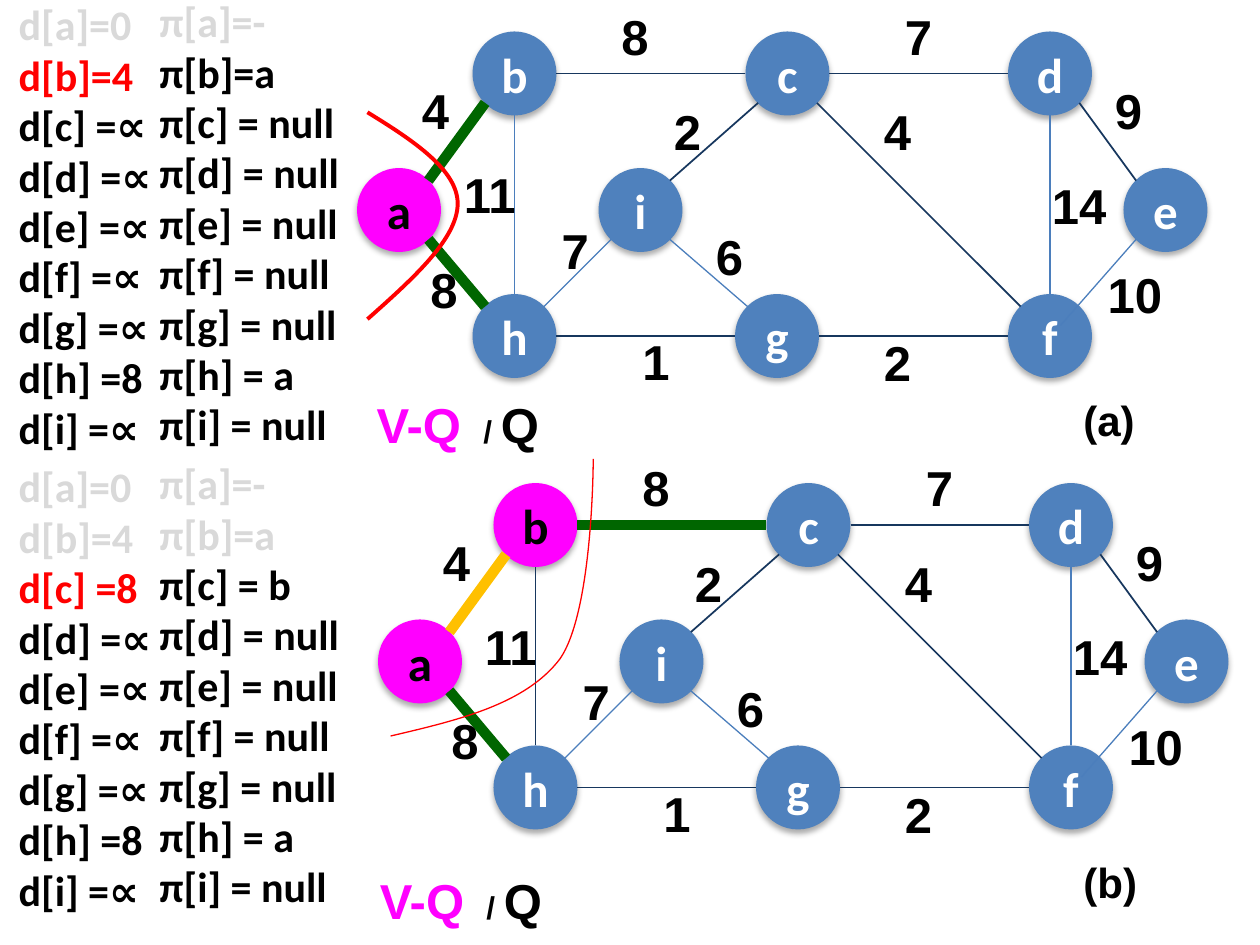
from dataclasses import dataclass

from lxml import etree
from pptx import Presentation
from pptx import util as u
from pptx.dml.color import RGBColor
from pptx.enum import shapes, text
from pptx.oxml.ns import qn


@dataclass(frozen=True)
class Theme:
    blue: str = "4F81BD"
    pink: str = "FF00FF"
    navy: str = "17375E"
    sky: str = "4B7EBC"
    green: str = "006600"
    gold: str = "FFC000"
    red: str = "FF0000"
    grey: str = "D9D9D9"
    black: str = "000000"
    white: str = "FFFFFF"
    body_font: str = "Calibri"
    label_font: str = "Arial"
    large: int = 28
    medium: int = 24
    small: int = 18


THEME = Theme()
PX = u.Inches(1) // 120
NODE = 80

# Where an edge meets a node, as fractions of the node's size from its centre
DIAGONAL = 0.354
SITES = {
    "n": (0, -0.5), "s": (0, 0.5), "w": (-0.5, 0), "e": (0.5, 0),
    "nw": (-DIAGONAL, -DIAGONAL), "ne": (DIAGONAL, -DIAGONAL),
    "sw": (-DIAGONAL, DIAGONAL), "se": (DIAGONAL, DIAGONAL),
    "inner": (0.125, -0.125),
}
CENTRES = {
    "b": (490, 70), "c": (750, 70), "d": (1000, 70),
    "a": (380, 200), "i": (610, 200), "e": (1110, 200),
    "h": (490, 320), "g": (740, 320), "f": (1000, 320),
}
THICK, THIN, HAIR = 6, 1, 0.75
NAVY, SKY = (THEME.navy, THIN), (THEME.sky, HAIR)
GREEN, GOLD = (THEME.green, THICK), (THEME.gold, THICK)
EDGES = [
    ("bc", "e", "w", NAVY), ("cd", "e", "w", NAVY),
    ("gf", "e", "w", NAVY), ("hg", "e", "w", NAVY),
    ("df", "s", "n", SKY), ("bh", "s", "n", SKY),
    ("ba", "sw", "ne", GREEN), ("de", "se", "nw", NAVY),
    ("ah", "se", "nw", GREEN), ("ef", "sw", "inner", SKY),
    ("ci", "sw", "ne", NAVY), ("ih", "sw", "ne", SKY),
    ("ig", "se", "nw", SKY), ("cf", "se", "nw", NAVY),
]
WEIGHTS = [
    ("4", 390, 71), ("8", 580, 0), ("7", 850, 0), ("9", 1050, 71),
    ("11", 430, 151), ("8", 398, 241), ("7", 523, 204), ("6", 670, 210),
    ("1", 600, 310), ("2", 630, 91), ("2", 830, 311), ("4", 830, 91),
    ("14", 990, 161), ("10", 1043, 246),
]
PANELS = [
    dict(name="(a)", shift=(0, 0), visited="a", restyled={}, finished=1,
         keys={"b": "4", "h": "8"}, parents={"b": "a", "h": " a"},
         cut=[(350, 107), (394, 134), (436, 162), (436, 194),
              (436, 227), (394, 265), (350, 304)], cut_width=2.25,
         caption=(1020, 370), legend=(347, 370), columns_top=-7),
    dict(name="(b)", shift=(20, 430), visited="ab", finished=2,
         restyled={"bc": GREEN, "ba": GOLD, "bh": NAVY},
         keys={"b": "4", "c": "8", "h": "8"},
         parents={"b": "a", "c": " b", "h": " a"},
         cut=[(372, 701), (436, 686), (500, 671), (533, 628),
              (565, 583), (565, 437), (565, 437)], cut_width=0.75,
         caption=(1020, 810), legend=(350, 823), columns_top=433),
]


def rgb(value):
    return RGBColor.from_string(value)


class Board:
    """The theme and the current slide; lengths are in px."""

    def __init__(self, theme, page):
        self.theme, self.page = theme, page
        self.target = page.shapes

    def start_group(self):
        self.target = self.page.shapes.add_group_shape().shapes

    def end_group(self):
        self.target = self.page.shapes

    def style(self, font, size, color, name):
        font.name, font.size, font.bold = name, u.Pt(size), True
        font.color.rgb = rgb(color)

    def stroke(self, line, color, width):
        line.color.rgb, line.width = rgb(color), u.Pt(width)

    def node(self, label, centre, visited):
        x, y = (int(value - NODE / 2) * PX for value in centre)
        node = self.target.add_shape(shapes.MSO_SHAPE.OVAL, x, y, NODE * PX, NODE * PX)
        node.fill.solid()
        node.fill.fore_color.rgb = rgb(self.theme.pink if visited else self.theme.blue)
        node.line.fill.background()
        node.shadow.inherit = False
        effects = node._element.spPr.find(qn("a:effectLst"))
        shadow = etree.SubElement(effects, qn("a:outerShdw"), blurRad="44450",
                                  dist="27940", dir="5400000", rotWithShape="0")
        tint = etree.SubElement(shadow, qn("a:srgbClr"), val=self.theme.black)
        etree.SubElement(tint, qn("a:alpha"), val="32000")
        node.text_frame.vertical_anchor = text.MSO_ANCHOR.MIDDLE
        para = node.text_frame.paragraphs[0]
        para.text, para.alignment = label, text.PP_ALIGN.CENTER
        self.style(para.font, self.theme.large,
                   self.theme.black if visited else self.theme.white,
                   self.theme.body_font)

    def edge(self, start, end, color, width):
        ends = [round(value) * PX for value in (*start, *end)]
        edge = self.target.add_connector(shapes.MSO_CONNECTOR.STRAIGHT, *ends)
        self.stroke(edge.line, color, width)
        etree.SubElement(edge._element.spPr, qn("a:effectLst"))

    def curve(self, points, color, width):
        """Draw cubic pieces: a start point, then three points for each piece."""
        builder = self.target.build_freeform(*points[0], scale=PX)
        builder.add_line_segments(points[1:], close=False)
        curve = builder.convert_to_shape()
        outline = next(curve._element.iter(qn("a:path")))
        segments = outline.findall(qn("a:lnTo"))
        for first in range(0, len(segments), 3):
            piece = etree.SubElement(outline, qn("a:cubicBezTo"))
            for segment in segments[first:first + 3]:
                piece.append(segment[0])
                outline.remove(segment)
        curve.fill.background()
        curve.shadow.inherit = False
        self.stroke(curve.line, color, width)

    def box(self, x, y, width, height):
        box = self.target.add_textbox(x * PX, y * PX, width * PX, height * PX)
        box.text_frame.word_wrap = True
        return box.text_frame

    def label(self, words, x, y, size, width=80, height=68):
        para = self.box(x, y, width, height).paragraphs[0]
        para.text = words
        self.style(para.font, size, self.theme.black, self.theme.label_font)

    def legend(self, x, y):
        para = self.box(x, y, 180, 68).paragraphs[0]
        for words, size, color in [("V-Q ", self.theme.large, self.theme.pink),
                                   (" / ", self.theme.small, self.theme.black),
                                   ("Q", self.theme.large, self.theme.black)]:
            span = para.add_run()
            span.text = words
            self.style(span.font, size, color, self.theme.label_font)

    def column(self, rows, x, y, width, height):
        frame = self.box(x, y, width, height)
        for index, (words, color) in enumerate(rows):
            para = frame.add_paragraph() if index else frame.paragraphs[0]
            para.text = words
            self.style(para.font, self.theme.medium, color, self.theme.body_font)


def draw_graph(board, panel):
    dx, dy = panel["shift"]
    centres = {name: (x + dx, y + dy) for name, (x, y) in CENTRES.items()}
    board.start_group()
    for name, centre in centres.items():
        board.node(name, centre, name in panel["visited"])
    for pair, *sites, default in EDGES:
        ends = [[centre + NODE * part for centre, part in zip(centres[name], SITES[site])]
                for name, site in zip(pair, sites)]
        board.edge(*ends, *panel["restyled"].get(pair, default))
    for weight, x, y in WEIGHTS:
        board.label(weight, x + dx, y + dy, board.theme.large)
    board.end_group()
    board.curve(panel["cut"], board.theme.red, panel["cut_width"])
    board.label(panel["name"], *panel["caption"], board.theme.medium, 100, 60)
    board.legend(*panel["legend"])


def draw_columns(board, panel):
    theme, finished, top = board.theme, panel["finished"], panel["columns_top"]
    distances, parents = [("d[a]=0", theme.grey)], [("π[a]=-", theme.grey)]
    for index, name in enumerate("bcdefghi", 1):
        color = theme.grey if index < finished else theme.black
        gap = "" if name == "b" else " "
        key = panel["keys"].get(name, "∝")
        distances.append((f"d[{name}]{gap}={key}",
                          theme.red if index == finished else color))
        parents.append((f"π[{name}]{gap}={panel['parents'].get(name, ' null')}", color))
    board.column(distances, 6, top, 160, 497)
    board.column(parents, 140, top - 3, 210, 485)


def main():
    deck = Presentation()
    deck.slide_width, deck.slide_height = 1200 * PX, 900 * PX
    board = Board(THEME, deck.slides.add_slide(deck.slide_layouts[6]))
    for panel in PANELS:
        draw_graph(board, panel)
        draw_columns(board, panel)
    deck.save("out.pptx")


if __name__ == "__main__":
    main()
